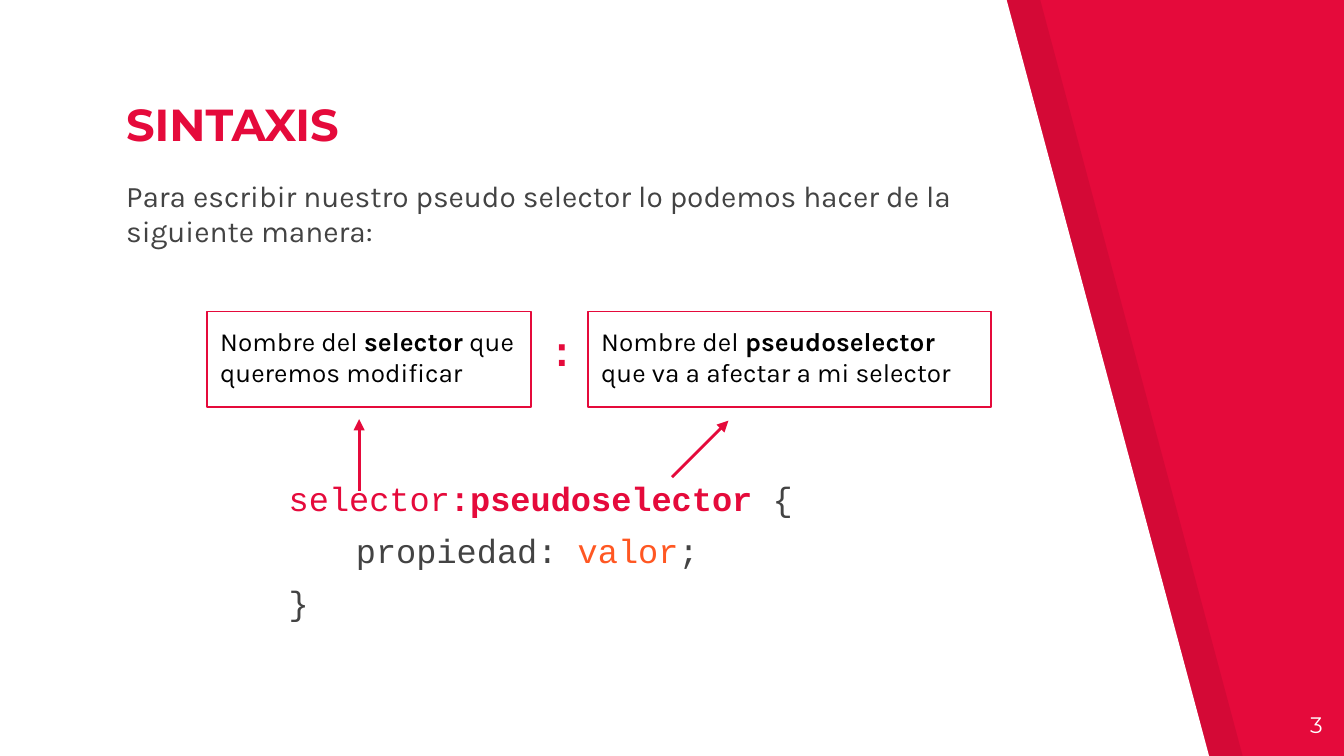
import pptx
import pptx.util
import pptx.dml.color
import pptx.enum.shapes
import pptx.enum.text
import pptx.oxml
import pptx.oxml.ns

Pt = pptx.util.Pt
ALIGN = pptx.enum.text.PP_ALIGN
ANCHOR = pptx.enum.text.MSO_ANCHOR
HUES = {
    "red": "E50A3B",
    "white": "FFFFFF",
    "black": "000000",
    "gray": "434343",
    "orange": "FF5722",
}


class Deck:
    """Holds the style and the current slide, and draws each kind of element."""

    def __init__(self, wide, high):
        self.file = pptx.Presentation()
        self.file.slide_width = Pt(wide)
        self.file.slide_height = Pt(high)
        self.slide = self.file.slides.add_slide(self.file.slide_layouts[6])
        self.shapes = self.slide.shapes
        self.paint(self.slide.background.fill, "red")

    def hue(self, name):
        return pptx.dml.color.RGBColor.from_string(HUES[name])

    def paint(self, fill, name):
        fill.solid()
        fill.fore_color.rgb = self.hue(name)

    def panel(self, points, color, alpha=None):
        spots = [(Pt(x), Pt(y)) for x, y in points]
        pen = self.shapes.build_freeform(*spots[0], scale=1.0)
        pen.add_line_segments(spots[1:], close=True)
        shape = pen.convert_to_shape()
        shape.shadow.inherit = False
        shape.line.fill.background()
        self.paint(shape.fill, color)
        if alpha is not None:
            tint = shape.element.spPr.find(".//" + pptx.oxml.ns.qn("a:srgbClr"))
            tint.append(pptx.oxml.parse_xml(
                f'<a:alpha {pptx.oxml.ns.nsdecls("a")} val="{alpha * 1000}"/>'))

    def label(self, shape, lines, font, size, align=ALIGN.LEFT,
              anchor=ANCHOR.TOP, before=0):
        frame = shape.text_frame
        frame.word_wrap = True
        frame.vertical_anchor = anchor
        frame.margin_left = frame.margin_right = Pt(7.2)
        frame.margin_top = frame.margin_bottom = Pt(7.2)
        for i, line in enumerate(lines):
            para = frame.add_paragraph() if i else frame.paragraphs[0]
            para.alignment = align
            para.space_before = Pt(before)
            for text, color, bold in line:
                run = para.add_run()
                run.text = text
                run.font.name = font
                run.font.size = Pt(size)
                run.font.bold = bold
                run.font.color.rgb = self.hue(color)

    def text(self, place, lines, font, size, **style):
        self.label(self.shapes.add_textbox(*map(Pt, place)), lines, font, size, **style)

    def box(self, place, lines):
        kind = pptx.enum.shapes.MSO_SHAPE.RECTANGLE
        shape = self.shapes.add_shape(kind, *map(Pt, place))
        shape.shadow.inherit = False
        shape.fill.background()
        shape.line.color.rgb = self.hue("red")
        shape.line.width = Pt(0.75)
        self.label(shape, lines, "Karla", 14)

    def arrow(self, start, end):
        kind = pptx.enum.shapes.MSO_CONNECTOR.STRAIGHT
        shape = self.shapes.add_connector(kind, *map(Pt, start + end))
        shape.line.color.rgb = self.hue("red")
        shape.line.width = Pt(1.5)
        space = pptx.oxml.ns.nsdecls("a")
        props = shape.element.spPr
        props.find(pptx.oxml.ns.qn("a:ln")).append(
            pptx.oxml.parse_xml(f'<a:tailEnd {space} type="triangle"/>'))
        props.append(pptx.oxml.parse_xml(f"<a:effectLst {space}/>"))


def main():
    deck = Deck(720, 405)
    edge = [(0, -0.5), (0, 406), (648, 406), (539.3, 0)]
    deck.panel([(x + 18, y) for x, y in edge], "black", 7)
    deck.panel(edge, "white")

    deck.text((672.5, 373.7, 43.2, 31), [[("3", "white", False)]],
              "Montserrat", 12, align=ALIGN.RIGHT)
    deck.text((60.5, 55.4, 378, 32.4), [[("SINTAXIS", "red", True)]],
              "Montserrat", 24, anchor=ANCHOR.BOTTOM)
    intro = "Para escribir nuestro pseudo selector lo podemos hacer de la siguiente manera:"
    deck.text((60.5, 87.8, 461.5, 72), [[(intro, "gray", False)]],
              "Karla", 16, before=6)

    code = [
        [("selector", "red", False), (":pseudoselector ", "red", True),
         ("{", "gray", False)],
        [("\tpropiedad: ", "gray", False), ("valor", "orange", False),
         (";", "gray", False)],
        [("}", "gray", False)],
    ]
    deck.text((147.6, 249.1, 319, 103.7), code, "Courier New", 18, before=6)

    deck.arrow((192.4, 262.8), (192.4, 224.6))
    deck.box((110.9, 167, 173.5, 51.1), [
        [("Nombre del ", "black", False), ("selector", "black", True),
         (" que", "black", False)],
        [("queremos modificar", "black", False)],
    ])
    deck.arrow((360, 255.6), (390.2, 225.4))
    deck.box((315, 167, 216, 51.1), [
        [("Nombre del ", "black", False), ("pseudoselector ", "black", True),
         ("que va a afectar a mi selector", "black", False)],
    ])
    deck.text((287.3, 167, 25.2, 43.2), [[(":", "red", True)]],
              "Courier New", 22, before=6)
    deck.file.save("out.pptx")


if __name__ == "__main__":
    main()
